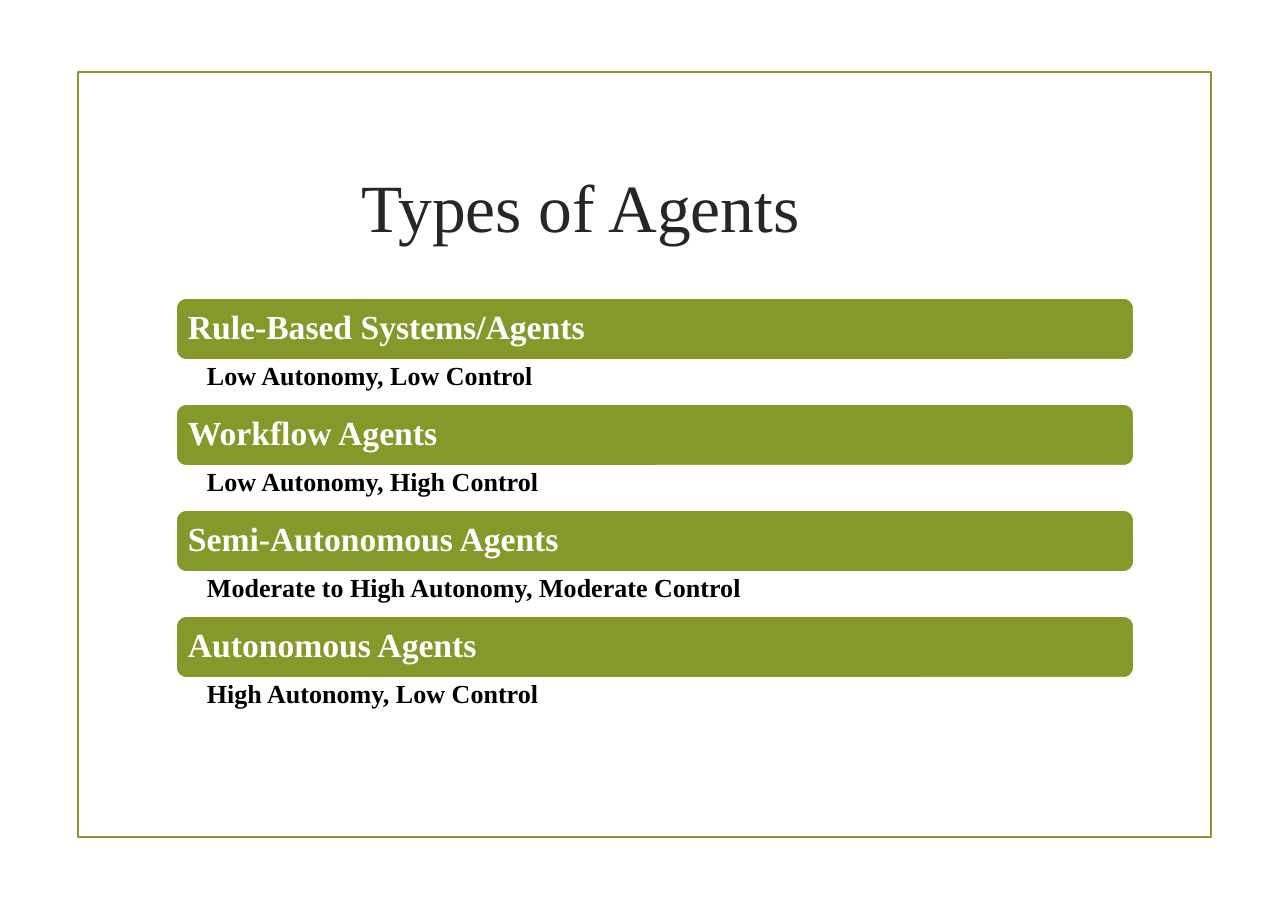
from dataclasses import dataclass

from pptx import Presentation
from pptx import util as u
from pptx.dml.color import RGBColor
from pptx.enum import shapes, text
from pptx.shapes.autoshape import Shape
from pptx.slide import Slide
from pptx.text.text import TextFrame

EMU_PER_PX = 8298
FONT = "Times New Roman"
OLIVE = RGBColor(0x83, 0x99, 0x2A)
CHARCOAL = RGBColor(0x26, 0x26, 0x26)
WHITE = RGBColor(0xFF, 0xFF, 0xFF)
BLACK = RGBColor(0x00, 0x00, 0x00)

LIST_LEFT, LIST_TOP, LIST_WIDTH = 176, 298, 958
BAR_HEIGHT, ROW_PITCH = 62, 106


@dataclass
class AgentType:
    name: str
    traits: str
    traits_height: int = 44


AGENT_TYPES = [
    AgentType("Rule-Based Systems/Agents", "Low Autonomy, Low Control"),
    AgentType("Workflow Agents", "Low Autonomy, High Control"),
    AgentType("Semi-Autonomous Agents", "Moderate to High Autonomy, Moderate Control"),
    AgentType("Autonomous Agents", "High Autonomy, Low Control", 66),
]


def px(length: int) -> u.Emu:
    return u.Emu(length * EMU_PER_PX)


def box(left: int, top: int, width: int, height: int) -> tuple[u.Emu, ...]:
    return px(left), px(top), px(width), px(height)


def style_shape(shape: Shape, line_color: RGBColor) -> None:
    shape.shadow.inherit = False
    shape.line.color.rgb = line_color
    shape.line.width = u.Pt(1.25)


def write(frame: TextFrame, words: str, size: float, color: RGBColor,
          bold: bool, align: text.PP_ALIGN, anchor: text.MSO_ANCHOR) -> None:
    frame.text = words
    frame.word_wrap = True
    frame.auto_size = text.MSO_AUTO_SIZE.NONE
    frame.vertical_anchor = anchor
    paragraph = frame.paragraphs[0]
    paragraph.alignment = align
    paragraph.line_spacing = 0.9 if bold else 1.0
    font = paragraph.runs[0].font
    font.name, font.size, font.bold = FONT, u.Pt(size), bold
    font.color.rgb = color


def set_margins(frame: TextFrame, left: int, right: int, vertical: int) -> None:
    frame.margin_left, frame.margin_right = px(left), px(right)
    frame.margin_top = frame.margin_bottom = px(vertical)


def add_agent_type(slide: Slide, agent: AgentType, top: int) -> None:
    # Olive bar with the name
    bar = slide.shapes.add_shape(shapes.MSO_SHAPE.ROUNDED_RECTANGLE,
                                 *box(LIST_LEFT, top, LIST_WIDTH, BAR_HEIGHT))
    style_shape(bar, WHITE)
    bar.fill.solid()
    bar.fill.fore_color.rgb = OLIVE
    set_margins(bar.text_frame, 9, 9, 9)
    write(bar.text_frame, agent.name, 22, WHITE, True,
          text.PP_ALIGN.LEFT, text.MSO_ANCHOR.MIDDLE)

    # Traits under the bar
    traits = slide.shapes.add_textbox(
        *box(LIST_LEFT, top + BAR_HEIGHT, LIST_WIDTH, agent.traits_height))
    set_margins(traits.text_frame, 31, 19, 3)
    write(traits.text_frame, agent.traits, 17, BLACK, True,
          text.PP_ALIGN.LEFT, text.MSO_ANCHOR.TOP)


def main() -> None:
    presentation = Presentation()
    presentation.slide_width, presentation.slide_height = px(1288), px(910)
    slide = presentation.slides.add_slide(presentation.slide_layouts[5])

    # Page frame
    frame = slide.shapes.add_shape(shapes.MSO_SHAPE.RECTANGLE,
                                   *box(78, 72, 1133, 765))
    style_shape(frame, OLIVE)
    frame.fill.background()

    # Title
    title = slide.shapes.title
    title.left, title.top, title.width, title.height = box(102, 119, 958, 173)
    write(title.text_frame, "Types of Agents", 44.1, CHARCOAL, False,
          text.PP_ALIGN.CENTER, text.MSO_ANCHOR.MIDDLE)

    # Agent types
    for row, agent in enumerate(AGENT_TYPES):
        add_agent_type(slide, agent, LIST_TOP + row * ROW_PITCH)

    presentation.save("out.pptx")


if __name__ == "__main__":
    main()
